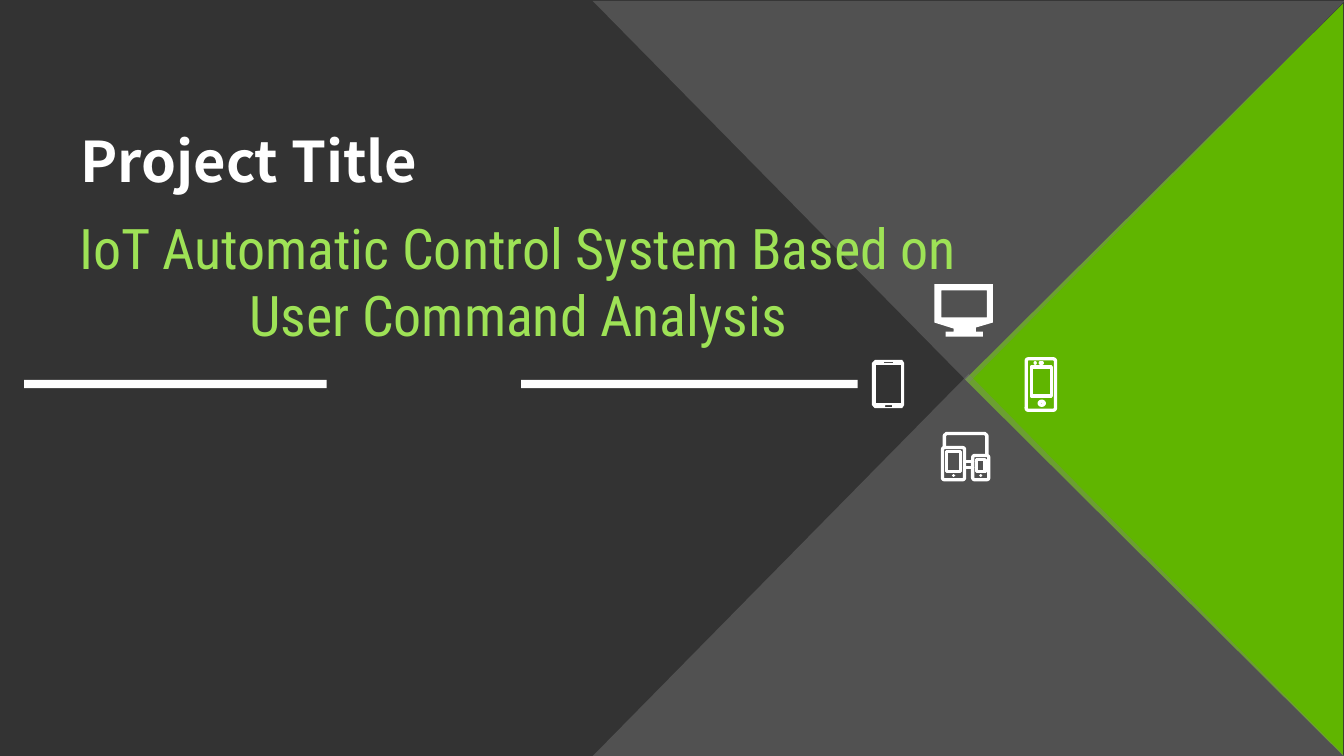
from lxml import etree
from pptx import Presentation
from pptx import util as u
from pptx.dml.color import RGBColor
from pptx.enum import shapes, text
from pptx.oxml import ns

Pt = u.Pt
KIND = shapes.MSO_SHAPE
theme = {
    "dark": "000000", "grey": "7F7F7F", "green": "60B500",
    "lime": "9EE256", "white": "FFFFFF",
    "size": 40, "stroke": 2.37,
    "title_font": "Noto Sans CJK SC", "subtitle_font": "Roboto Condensed",
}


def paint(shape, fill=None, opacity=None, stroke=None):
    shape.shadow.inherit = False
    if fill:
        shape.fill.solid()
        shape.fill.fore_color.rgb = RGBColor.from_string(theme[fill])
        if opacity:
            color = shape.fill._xPr.find(".//" + ns.qn("a:srgbClr"))
            etree.SubElement(color, ns.qn("a:alpha")).set("val", str(opacity * 1000))
    else:
        shape.fill.background()
    if stroke:
        shape.line.color.rgb = RGBColor.from_string(theme[stroke])
        shape.line.width = Pt(theme["stroke"])
    else:
        shape.line.fill.background()


def draw_outline(container, contours, closed=True):
    contours = [[(Pt(x), Pt(y)) for x, y in contour] for contour in contours]
    builder = container.build_freeform(*contours[0][0])
    for index, contour in enumerate(contours):
        if index:
            builder.move_to(*contour[0])
        builder.add_line_segments(contour[1:], close=closed)
    return builder.convert_to_shape()


presentation = Presentation()
presentation.slide_width, presentation.slide_height = Pt(960), Pt(540)
slide = presentation.slides.add_slide(presentation.slide_layouts[6])

panels = [
    (KIND.RECTANGLE, (0, 0, 961.2, 543.6), 0, "dark", 80),
    (KIND.ISOSCELES_TRIANGLE, (555.8, 136.1, 537.1, 270), 270, "green", None),
    (KIND.ISOSCELES_TRIANGLE, (423.4, 0.7, 537.1, 272.9), 180, "grey", 40),
    (KIND.ISOSCELES_TRIANGLE, (423.4, 267.1, 537.1, 272.9), 0, "grey", 40),
    (KIND.RECTANGLE, (17.3, 271.4, 216, 5.8), 0, "white", None),
    (KIND.RECTANGLE, (372.2, 271.4, 240.5, 5.8), 0, "white", None),
]
for kind, box, rotation, fill, opacity in panels:
    shape = slide.shapes.add_shape(kind, *map(Pt, box))
    shape.rotation = rotation
    paint(shape, fill, opacity)

phone_parts = [
    (KIND.ROUNDED_RECTANGLE, (733, 256.3, 20.9, 36.7)),
    (KIND.OVAL, (742.3, 286.6, 3.6, 2.9)),
    (KIND.RECTANGLE, (736.6, 262.1, 14.4, 20.9)),
]
phone_strokes = [(743, 744.5, 259.2), (739.4, 739.5, 259.2)]
device_parts = [
    (KIND.ROUNDED_RECTANGLE, (673.2, 319.7, 15.8, 23)),
    (KIND.RECTANGLE, (676.1, 322.6, 10.1, 14.4)),
    (KIND.ROUNDED_RECTANGLE, (694.8, 325.4, 11.5, 17.3)),
    (KIND.RECTANGLE, (697.7, 328.3, 5.8, 8.6)),
]
device_strokes = [
    (689, 694.8, 334.1), (689, 694.8, 329.8),
    (681.1, 681.2, 339.8), (700.5, 700.6, 339.8),
]
for parts, strokes in ((phone_parts, phone_strokes), (device_parts, device_strokes)):
    icon = slide.shapes.add_group_shape().shapes
    for kind, box in parts:
        shape = icon.add_shape(kind, *map(Pt, box))
        if kind == KIND.ROUNDED_RECTANGLE:
            shape.adjustments[0] = 1.44 / box[2]
        paint(shape, stroke="white")
    for left, right, y in strokes:
        stroke = icon.add_connector(
            shapes.MSO_CONNECTOR.STRAIGHT, Pt(left), Pt(y), Pt(right), Pt(y))
        stroke.line.color.rgb = RGBColor.from_string(theme["white"])
        stroke.line.width = Pt(theme["stroke"])
        stroke.line._get_or_add_ln().set("cap", "rnd")
        etree.SubElement(stroke._element.spPr, ns.qn("a:effectLst"))

back_screen = [(704.9, 324.7), (704.9, 311), (703.4, 309.6),
               (676.1, 309.6), (674.6, 311), (674.6, 319.7)]
paint(draw_outline(icon, [back_screen], closed=False), stroke="white")

monitor = [
    [(667.4, 203), (709.2, 203), (709.2, 230.4), (697, 234), (697, 236.9),
     (702, 236.9), (702, 240.5), (675.4, 240.5), (675.4, 236.9),
     (681.1, 236.9), (681.1, 234.7), (667.4, 230.4)],
    [(672.5, 207.4), (672.5, 226.8), (704.9, 226.8), (704.9, 207.4)],
]
tablet = [[(625, 257), (644.4, 257), (645.8, 259.2), (645.8, 289.4),
           (644.4, 291.6), (625, 291.6), (622.8, 289.4), (622.8, 259.2)]]
for left, top, right, bottom in [(625.7, 260.6, 643.7, 288),
                                 (632.2, 289.4, 637.2, 290.9),
                                 (631.4, 258.5, 637.9, 259.2)]:
    tablet.append([(left, top), (left, bottom), (right, bottom), (right, top)])
for contours in (monitor, tablet):
    paint(draw_outline(slide.shapes, contours), "white")

labels = [
    ("Project Title", (50.4, 87.1, 967, 55.4), text.PP_ALIGN.LEFT, "white",
     {"name": theme["title_font"], "size": Pt(theme["size"]), "bold": True}),
    ("IoT Automatic Control System Based on User Command Analysis",
     (36.7, 149, 666.7, 104.4), text.PP_ALIGN.CENTER, "lime",
     {"name": theme["subtitle_font"], "size": Pt(theme["size"]), "bold": False}),
]
for words, box, alignment, color, formats in labels:
    frame = slide.shapes.add_textbox(*map(Pt, box)).text_frame
    frame.word_wrap = True
    paragraph = frame.paragraphs[0]
    paragraph.alignment = alignment
    run = paragraph.add_run()
    run.text = words
    run.font.color.rgb = RGBColor.from_string(theme[color])
    for attribute, value in formats.items():
        setattr(run.font, attribute, value)

presentation.save("out.pptx")
